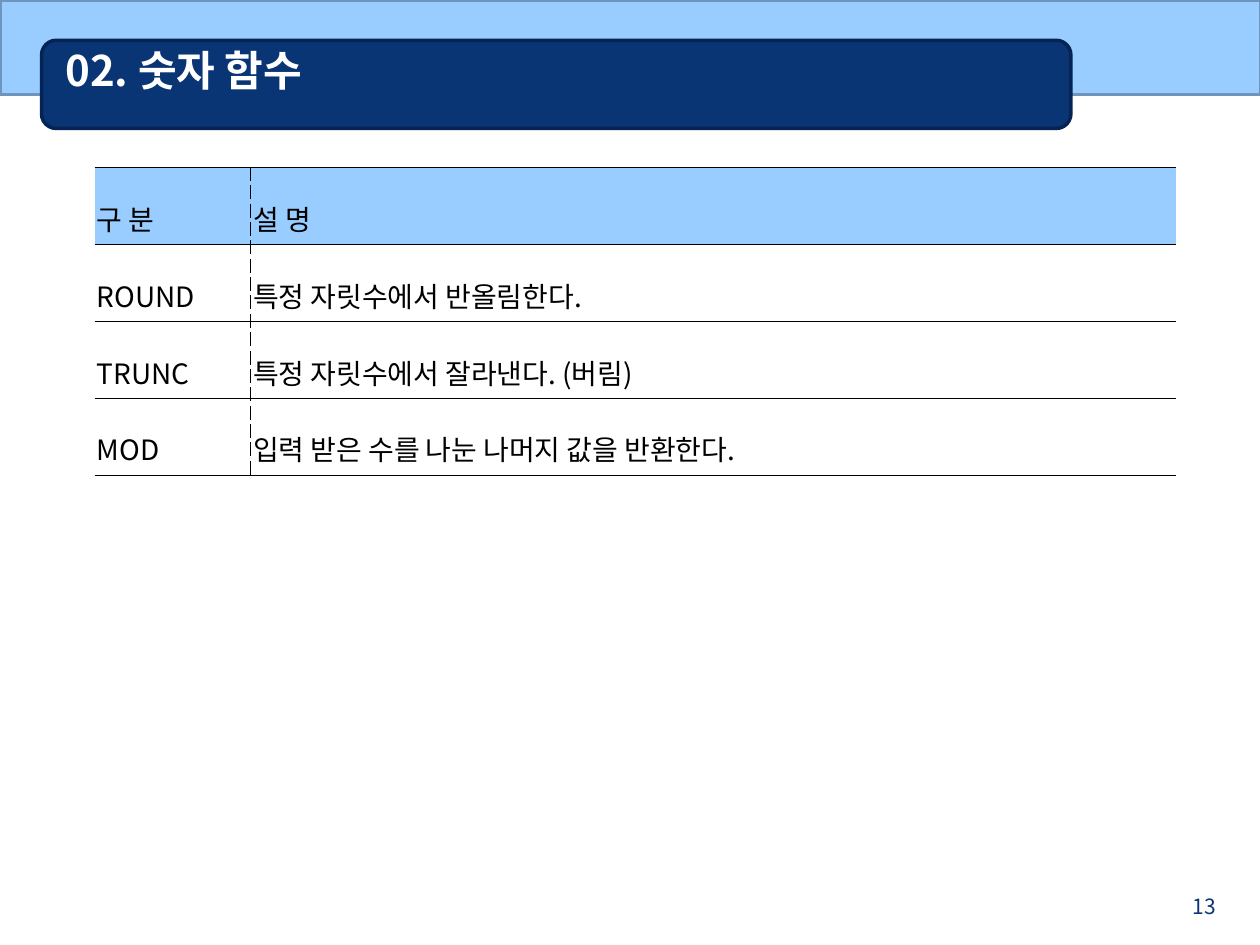
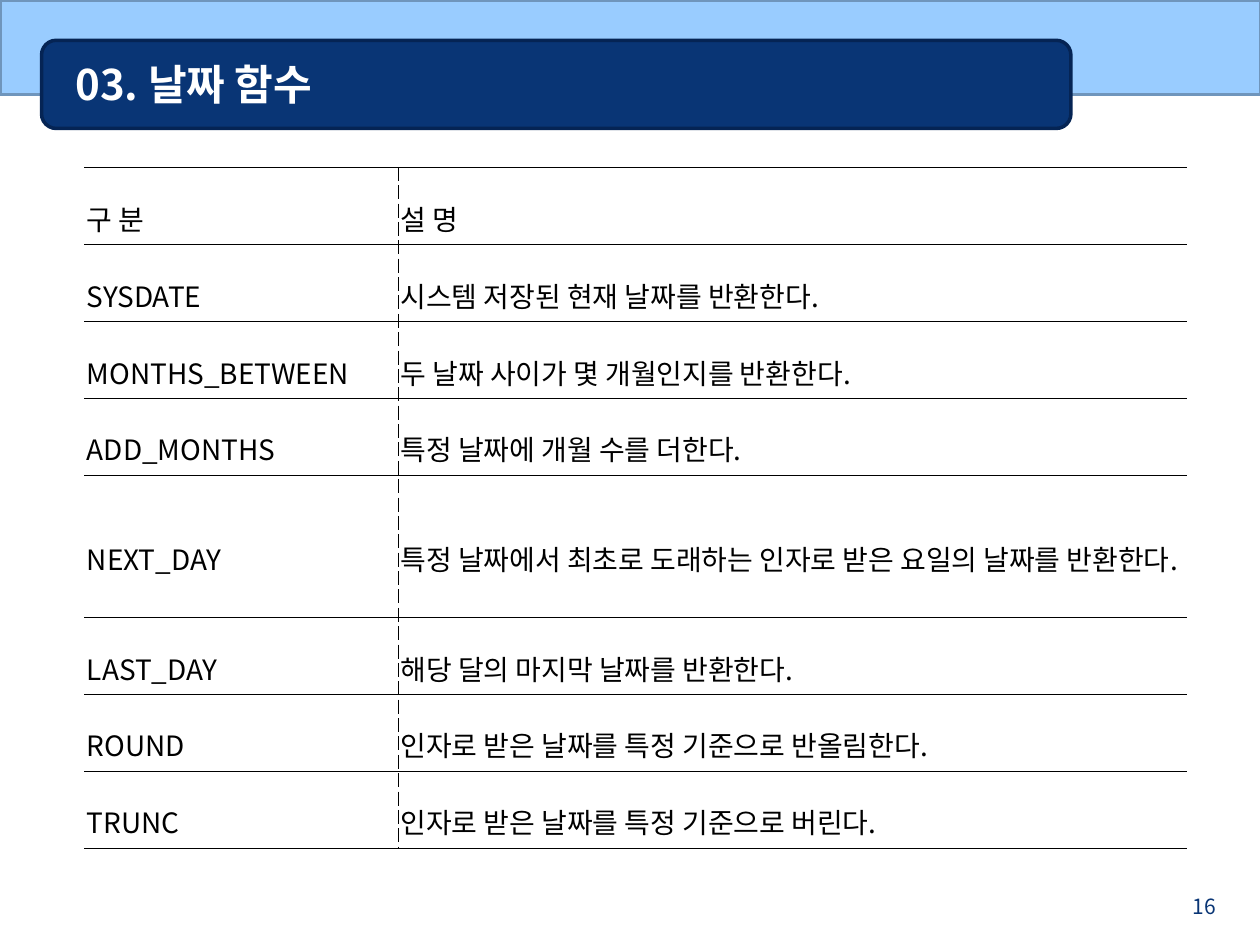
from lxml.etree import SubElement
from pptx import Presentation
from pptx.dml.color import RGBColor
from pptx.enum.shapes import MSO_SHAPE
from pptx.enum.text import MSO_ANCHOR, PP_ALIGN
from pptx.oxml.ns import qn
from pptx.util import Inches, Pt

FONT = "Noto Sans CJK KR"
BLACK = RGBColor(0x00, 0x00, 0x00)
WHITE = RGBColor(0xFF, 0xFF, 0xFF)
SKY = RGBColor(0x99, 0xCC, 0xFF)
SKY_EDGE = RGBColor(0x6F, 0x95, 0xBC)
NAVY = RGBColor(0x09, 0x35, 0x75)
NAVY_EDGE = RGBColor(0x05, 0x24, 0x54)

ROW_HEIGHT = 0.61
TALL_ROW_HEIGHT = 1.13
THICK, THIN, DASHED = (0.96, "solid"), (0.11, "solid"), (0.28, "dash")

NUMBER_FUNCTIONS = [
    ("구 분", "설 명"),
    ("ROUND", "특정 자릿수에서 반올림한다."),
    ("TRUNC", "특정 자릿수에서 잘라낸다. (버림)"),
    ("MOD", "입력 받은 수를 나눈 나머지 값을 반환한다."),
]
DATE_FUNCTIONS = [
    ("구 분", "설 명"),
    ("SYSDATE", "시스템 저장된 현재 날짜를 반환한다."),
    ("MONTHS_BETWEEN", "두 날짜 사이가 몇 개월인지를 반환한다."),
    ("ADD_MONTHS", "특정 날짜에 개월 수를 더한다."),
    ("NEXT_DAY", "특정 날짜에서 최초로 도래하는 인자로 받은 요일의 날짜를 반환한다."),
    ("LAST_DAY", "해당 달의 마지막 날짜를 반환한다."),
    ("ROUND", "인자로 받은 날짜를 특정 기준으로 반올림한다."),
    ("TRUNC", "인자로 받은 날짜를 특정 기준으로 버린다."),
]


def write_text(text_frame, text, size=16, color=BLACK, bold=False,
               align=PP_ALIGN.LEFT, line_spacing=1.0):
    text_frame.word_wrap = True
    paragraph = text_frame.paragraphs[0]
    paragraph.alignment = align
    paragraph.line_spacing = line_spacing
    run = paragraph.add_run()
    run.text = text
    run.font.name = FONT
    run.font.size = Pt(size)
    run.font.bold = bold
    run.font.color.rgb = color
    SubElement(run.font._element, qn("a:ea"), typeface=FONT)


def add_band(slide, kind, box, fill, edge):
    shape = slide.shapes.add_shape(kind, *map(Inches, box))
    shape.shadow.inherit = False
    shape.fill.solid()
    shape.fill.fore_color.rgb = fill
    shape.line.color.rgb = edge
    shape.line.width = Pt(2)


def add_text_box(slide, box, text, anchor=MSO_ANCHOR.TOP, top_inset=0.05, **text_format):
    text_frame = slide.shapes.add_textbox(*map(Inches, box)).text_frame
    text_frame.vertical_anchor = anchor
    text_frame.margin_top = Inches(top_inset)
    write_text(text_frame, text, **text_format)


def add_base_slide(presentation, page_number):
    slide = presentation.slides.add_slide(presentation.slide_layouts[6])
    add_band(slide, MSO_SHAPE.RECTANGLE, (0, 0, 10.01, 0.75), SKY, SKY_EDGE)
    add_band(slide, MSO_SHAPE.ROUNDED_RECTANGLE, (0.33, 0.32, 8.17, 0.7), NAVY, NAVY_EDGE)
    add_text_box(slide, (9.25, 7.04, 0.5, 0.21), page_number,
                 size=12, color=NAVY, align=PP_ALIGN.RIGHT)
    return slide


def add_title(slide, box, text, **placement):
    add_text_box(slide, box, text, size=24, color=WHITE, bold=True, **placement)


def set_border(cell, side, border):
    line = SubElement(cell._tc.get_or_add_tcPr(), qn(f"a:ln{side}"))
    if border is None:
        SubElement(line, qn("a:noFill"))
        return
    width, dash = border
    line.set("w", str(Pt(width)))
    fill = SubElement(line, qn("a:solidFill"))
    SubElement(fill, qn("a:srgbClr"), val=str(BLACK))
    SubElement(line, qn("a:prstDash"), val=dash)


def format_cell(cell, text, fill, borders):
    cell.margin_left = cell.margin_right = Inches(0.02)
    cell.margin_top = cell.margin_bottom = Inches(0.05)
    cell.vertical_anchor = MSO_ANCHOR.MIDDLE
    for side, border in borders.items():
        set_border(cell, side, border)
    cell.fill.solid()
    cell.fill.fore_color.rgb = fill
    write_text(cell.text_frame, text, align=PP_ALIGN.JUSTIFY, line_spacing=1.6)


def add_function_table(slide, left, column_widths, functions, header_fill=WHITE, tall_name=None):
    heights = [TALL_ROW_HEIGHT if name == tall_name else ROW_HEIGHT for name, _ in functions]
    table = slide.shapes.add_table(
        len(functions), len(column_widths), Inches(left), Inches(1.33),
        Inches(sum(column_widths)), Inches(sum(heights))).table
    table.first_row = table.horz_banding = False
    for column, width in zip(table.columns, column_widths):
        column.width = Inches(width)
    for row_index, (texts, height) in enumerate(zip(functions, heights)):
        table.rows[row_index].height = Inches(height)
        is_header = row_index == 0
        for column_index, text in enumerate(texts):
            borders = {
                "L": DASHED if column_index else None,
                "R": None if column_index else DASHED,
                "T": THICK if is_header else THIN,
                "B": THIN,
            }
            format_cell(table.cell(row_index, column_index), text,
                        header_fill if is_header else WHITE, borders)


def main():
    presentation = Presentation()
    presentation.slide_width = Inches(10)
    presentation.slide_height = Inches(7.5)

    number_slide = add_base_slide(presentation, "13")
    add_function_table(number_slide, 0.75, (1.24, 7.34), NUMBER_FUNCTIONS, header_fill=SKY)
    add_title(number_slide, (0.42, 0.33, 2.28, 0.91), "02. 숫자 함수", top_inset=0.02)

    date_slide = add_base_slide(presentation, "16")
    add_title(date_slide, (0.5, 0.35, 7.92, 0.62), "03. 날짜 함수", anchor=MSO_ANCHOR.MIDDLE)
    add_function_table(date_slide, 0.67, (2.49, 6.26), DATE_FUNCTIONS, tall_name="NEXT_DAY")

    presentation.save("out.pptx")


if __name__ == "__main__":
    main()
